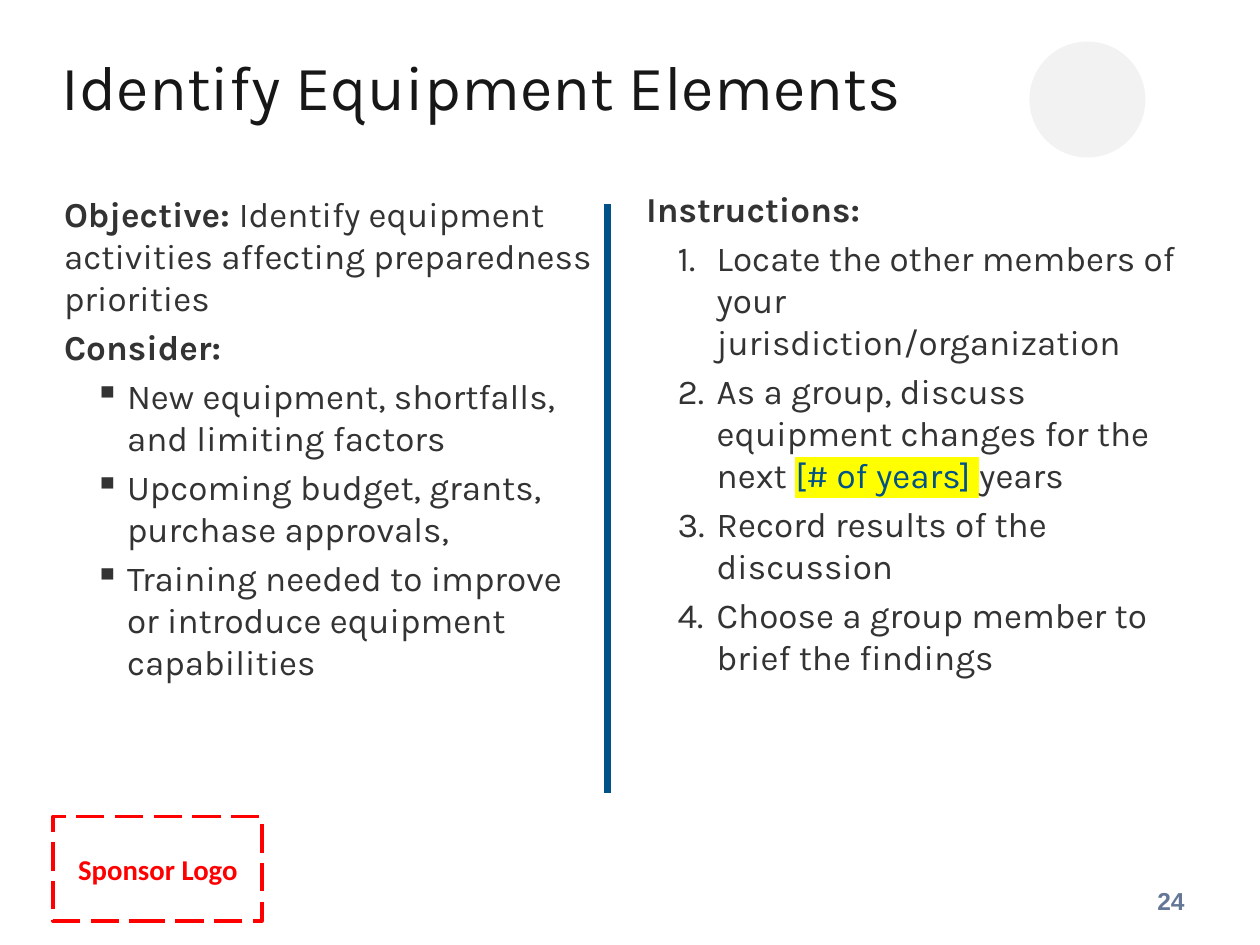
"""Build the equipment elements discussion slide."""
from dataclasses import dataclass
from typing import Optional

from lxml import etree
from pptx import Presentation
from pptx.dml.color import RGBColor
from pptx.enum import dml, shapes, text
from pptx.oxml import ns
from pptx.util import Inches, Pt


@dataclass(frozen=True)
class Theme:
    ink: str = "181717"
    body: str = "333333"
    accent: str = "005288"
    marker: str = "FFFF00"
    sponsor: str = "FF0000"
    disc: str = "F2F2F2"
    number: str = "647796"
    title_size: float = 36
    body_size: float = 20
    sponsor_size: float = 16.4
    number_size: float = 14
    font: str = "Karla"


@dataclass(frozen=True)
class Box:
    left: float
    top: float
    width: float
    height: float

    def lengths(self) -> tuple:
        return tuple(Inches(v) for v in (self.left, self.top, self.width, self.height))


@dataclass(frozen=True)
class Run:
    words: str
    bold: bool = False
    color: str = Theme.body
    highlight: Optional[str] = None


@dataclass(frozen=True)
class ListStyle:
    tag: str
    attribute: str
    value: str
    indent: float
    hanging: float


@dataclass(frozen=True)
class Item:
    runs: tuple
    style: Optional[ListStyle] = None


THEME = Theme()
SQUARES = ListStyle("a:buChar", "char", "▪", 0.5, 0.26)
NUMBERS = ListStyle("a:buAutoNum", "type", "arabicPeriod", 0.56, 0.31)

OBJECTIVE = (
    Item((Run("Objective: ", bold=True),
          Run("Identify equipment activities affecting preparedness priorities"))),
    Item((Run("Consider:", bold=True),)),
    Item((Run("New equipment, shortfalls, and limiting factors"),), SQUARES),
    Item((Run("Upcoming budget, grants, purchase approvals,"),), SQUARES),
    Item((Run("Training needed to improve or introduce equipment capabilities"),), SQUARES),
)
INSTRUCTIONS = (
    Item((Run("Instructions:", bold=True),)),
    Item((Run("Locate the other members of your jurisdiction/organization"),), NUMBERS),
    Item((Run("As a group, discuss equipment changes for the next "),
          Run("[# of years] ", color=THEME.accent, highlight=THEME.marker),
          Run("years")), NUMBERS),
    Item((Run("Record results of the discussion"),), NUMBERS),
    Item((Run("Choose a group member to brief the findings"),), NUMBERS),
)


def write(paragraph, words: str, *, size: float, color: str, font: str = THEME.font,
          bold: bool = False, highlight: Optional[str] = None) -> None:
    """Add one formatted run to a paragraph."""
    run = paragraph.add_run()
    run.text = words
    run.font.name, run.font.size, run.font.bold = font, Pt(size), bold
    run.font.color.rgb = RGBColor.from_string(color)
    if highlight:
        mark = etree.Element(ns.qn("a:highlight"))
        etree.SubElement(mark, ns.qn("a:srgbClr"), val=highlight)
        run.font.fill
        run._r.rPr.find(ns.qn("a:solidFill")).addnext(mark)


def apply_list(paragraph, style: ListStyle) -> None:
    """Give a paragraph its marker and hanging indent."""
    properties = paragraph._p.get_or_add_pPr()
    properties.set("marL", str(Inches(style.indent)))
    properties.set("indent", str(-Inches(style.hanging)))
    etree.SubElement(properties, ns.qn(style.tag), {style.attribute: style.value})


def add_frame(slide, box: Box, wrap: bool = True):
    """Add a text box and return its text frame."""
    frame = slide.shapes.add_textbox(*box.lengths()).text_frame
    frame.word_wrap = wrap
    return frame


def add_column(slide, box: Box, items: tuple) -> None:
    """Add a column of paragraphs and list items."""
    frame = add_frame(slide, box)
    for index, item in enumerate(items):
        paragraph = frame.add_paragraph() if index else frame.paragraphs[0]
        if item.style:
            apply_list(paragraph, item.style)
        if index:
            paragraph.space_before = Pt(0.2 * THEME.body_size)
        for run in item.runs:
            write(paragraph, run.words, size=THEME.body_size, color=run.color,
                  bold=run.bold, highlight=run.highlight)


def add_title(slide, words: str) -> None:
    """Place and format the slide title."""
    title = slide.shapes.title
    title.left, title.top, title.width, title.height = Box(0.39, 0.11, 9.17, 1.25).lengths()
    frame = title.text_frame
    frame.auto_size = text.MSO_AUTO_SIZE.NONE
    frame.vertical_anchor = text.MSO_ANCHOR.MIDDLE
    heading = frame.paragraphs[0]
    heading.alignment = text.PP_ALIGN.LEFT
    heading.line_spacing = 0.8
    write(heading, words, size=THEME.title_size, color=THEME.ink)


def add_sponsor(slide) -> None:
    """Add the dashed sponsor frame and its label."""
    border = slide.shapes.add_shape(shapes.MSO_SHAPE.RECTANGLE,
                                    *Box(0.42, 6.48, 1.66, 0.83).lengths())
    border.shadow.inherit = False
    border.fill.background()
    border.line.color.rgb = RGBColor.from_string(THEME.sponsor)
    border.line.width = Pt(2)
    border.line.dash_style = dml.MSO_LINE.LONG_DASH
    label = add_frame(slide, Box(0.62, 6.76, 1.43, 0.28))
    label.margin_left = label.margin_right = label.margin_top = label.margin_bottom = 0
    write(label.paragraphs[0], "Sponsor Logo", size=THEME.sponsor_size,
          color=THEME.sponsor, font="Calibri", bold=True)


def add_divider(slide, x: float, top: float, bottom: float) -> None:
    """Add the vertical rule between the columns."""
    divider = slide.shapes.add_connector(shapes.MSO_CONNECTOR.STRAIGHT, Inches(x),
                                         Inches(top), Inches(x), Inches(bottom))
    divider.line.color.rgb = RGBColor.from_string(THEME.accent)
    divider.line.width = Pt(3.75)
    etree.SubElement(divider._element.spPr, ns.qn("a:effectLst"))


def add_disc(slide, box: Box) -> None:
    """Add the plain disc beside the title."""
    disc = slide.shapes.add_shape(shapes.MSO_SHAPE.OVAL, *box.lengths())
    disc.shadow.inherit = False
    disc.fill.solid()
    disc.fill.fore_color.rgb = RGBColor.from_string(THEME.disc)
    disc.line.fill.background()


def add_number(slide, number: str) -> None:
    """Add the page number at the lower right."""
    frame = add_frame(slide, Box(7.17, 6.95, 2.33, 0.4))
    frame.vertical_anchor = text.MSO_ANCHOR.MIDDLE
    frame.paragraphs[0].alignment = text.PP_ALIGN.RIGHT
    write(frame.paragraphs[0], number, size=THEME.number_size, color=THEME.number,
          font="Arial", bold=True)


def main() -> None:
    """Assemble and save the slide."""
    deck = Presentation()
    deck.slide_width, deck.slide_height = Inches(10), Inches(7.5)
    slide = deck.slides.add_slide(deck.slide_layouts[5])
    add_sponsor(slide)
    add_title(slide, "Identify Equipment Elements")
    add_column(slide, Box(0.41, 1.48, 4.42, 4.95), OBJECTIVE)
    add_column(slide, Box(5.03, 1.44, 4.42, 5.37), INSTRUCTIONS)
    add_divider(slide, 4.82, 1.62, 6.29)
    add_disc(slide, Box(8.17, 0.33, 0.92, 0.92))
    add_number(slide, "24")
    deck.save("out.pptx")


if __name__ == "__main__":
    main()
